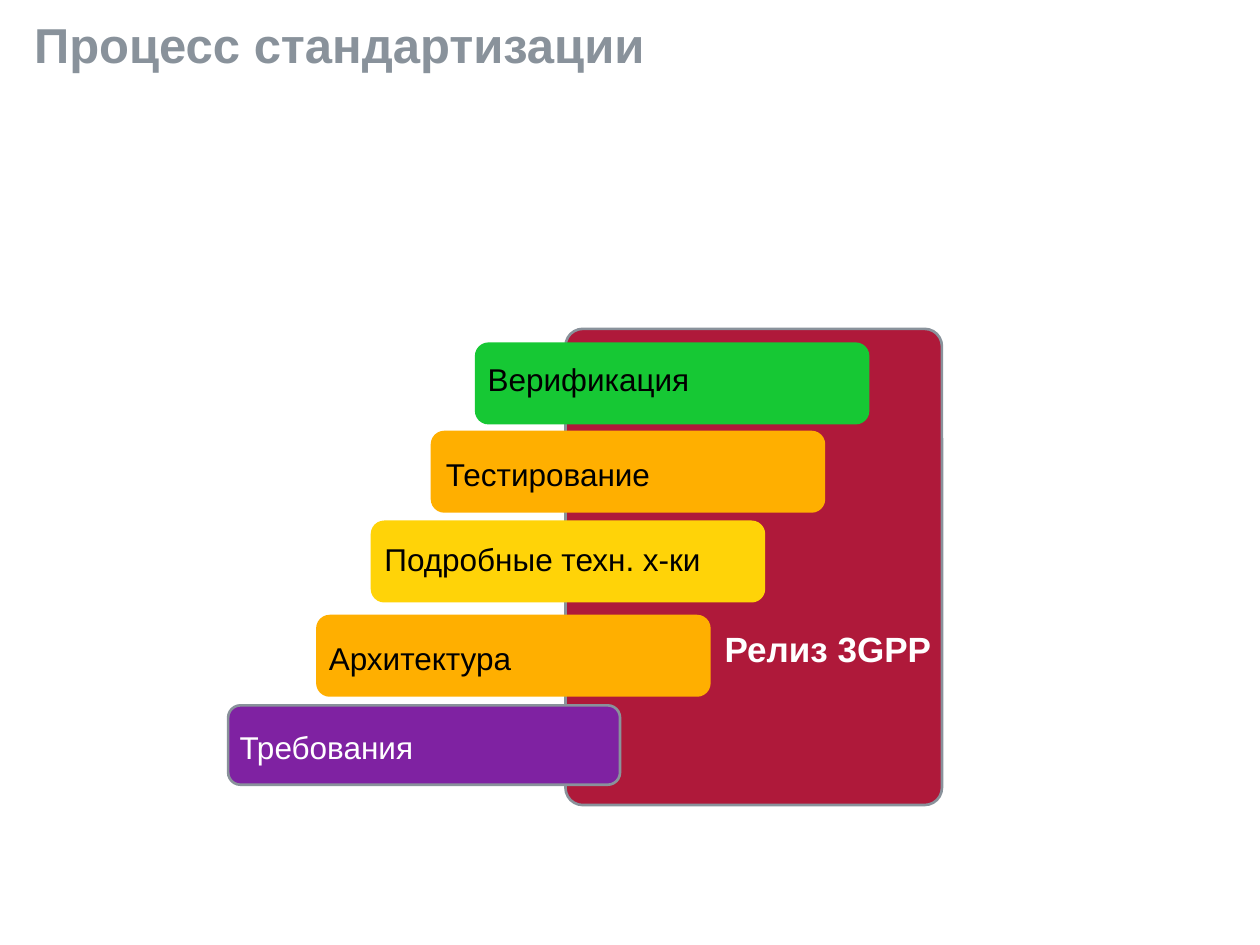
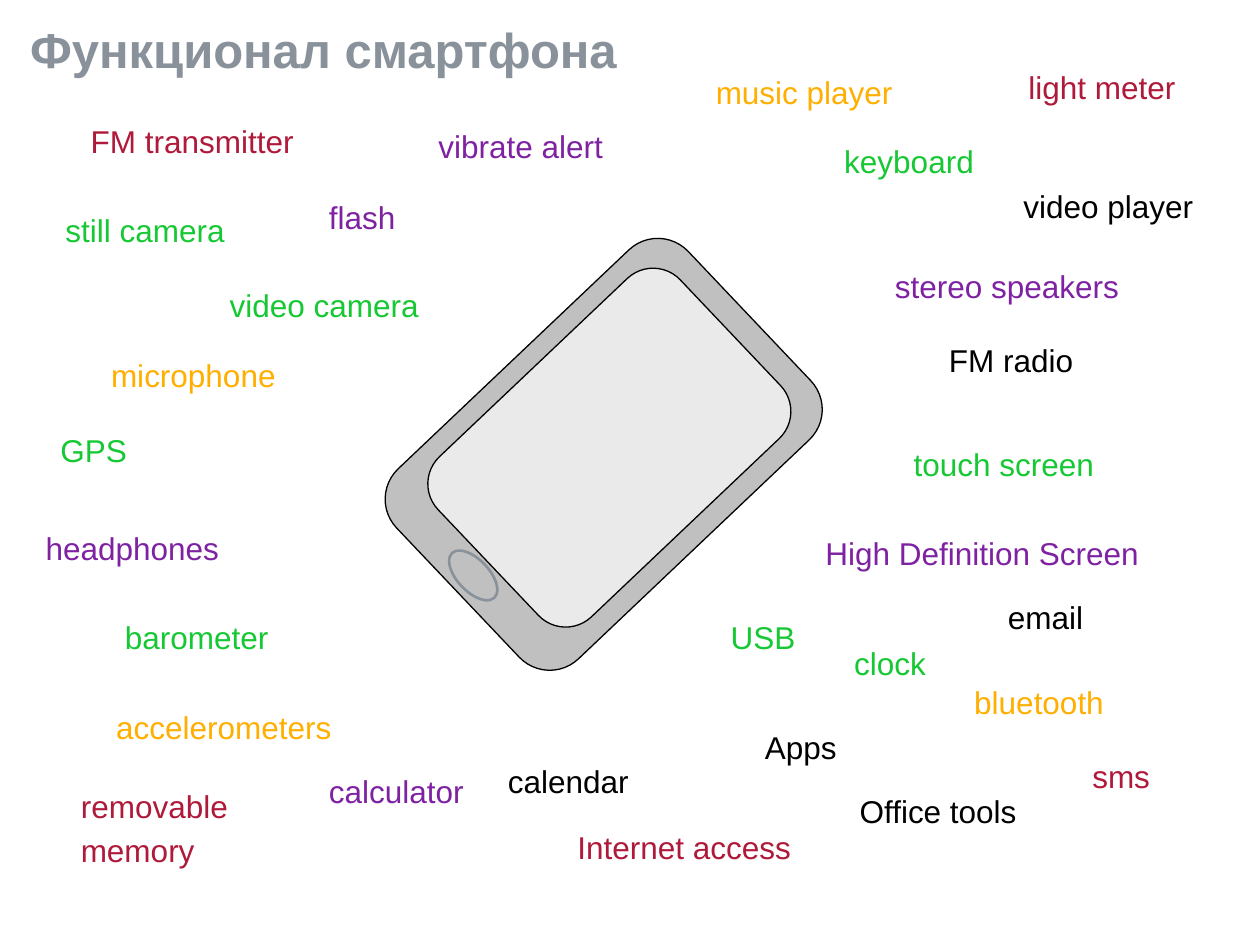
from pptx import Presentation
from pptx.dml.color import RGBColor
from pptx.enum.shapes import MSO_SHAPE as Preset
from pptx.enum.text import MSO_ANCHOR as Anchor, MSO_AUTO_SIZE as AutoSize, PP_ALIGN as Align
from pptx.util import Cm, Pt

# Shared colours and type
GREY = RGBColor(0x89, 0x92, 0x9B)
RED = RGBColor(0xAF, 0x19, 0x3A)
GREEN = RGBColor(0x16, 0xC8, 0x34)
PURPLE = RGBColor(0x7F, 0x22, 0xA2)
ORANGE = RGBColor(0xFF, 0xAF, 0x00)
YELLOW = RGBColor(0xFF, 0xD3, 0x08)
BLACK = RGBColor(0x00, 0x00, 0x00)
WHITE = RGBColor(0xFF, 0xFF, 0xFF)
CASE = RGBColor(0xC0, 0xC0, 0xC0)
GLASS = RGBColor(0xEA, 0xEA, 0xEA)
FONT = "Arial"
LINE_SPACING = 0.9
LABEL_INSET = Cm(0.13)
LABEL_HEIGHT = 0.99
EXTRA_LINE = 0.89

# Standardisation steps, top to bottom:
# step, bar left and top, label left, top and width, fill, outline, text colour
BAR_WIDTH, BAR_HEIGHT = 7.9, 1.6
STEPS = [
    ("Верификация", 9.6, 6.93, 9.7, 7.21, 4.37, GREEN, GREEN, BLACK),
    ("Тестирование", 8.71, 8.71, 8.86, 9.12, 4.42, ORANGE, ORANGE, BLACK),
    ("Подробные техн. х-ки", 7.5, 10.52, 7.62, 10.85, 6.68, YELLOW, YELLOW, BLACK),
    ("Архитектура", 6.4, 12.42, 6.5, 12.83, 3.96, ORANGE, ORANGE, BLACK),
    ("Требования", 4.6, 14.22, 4.7, 14.63, 3.78, PURPLE, GREY, WHITE),
]

# Smartphone features by colour: feature, left, top, width
FEATURES = {
    GREEN: [
        ("keyboard", 16.89, 2.82, 2.9),
        ("touch screen", 18.29, 8.92, 3.94),
        ("GPS", 1.09, 8.64, 1.63),
        ("barometer", 2.39, 12.42, 3.2),
        ("still camera", 1.19, 4.22, 3.51),
        ("clock", 17.09, 12.93, 1.75),
        ("video camera", 4.5, 5.72, 4.11),
        ("USB", 14.6, 12.42, 1.6),
    ],
    PURPLE: [
        ("stereo speakers", 17.91, 5.33, 4.8),
        ("High Definition Screen", 16.51, 10.72, 6.6),
        ("headphones", 0.79, 10.62, 3.78),
        ("flash", 6.5, 3.94, 1.63),
        ("vibrate alert", 8.71, 2.51, 3.61),
        ("calculator", 6.5, 15.52, 3.02),
    ],
    ORANGE: [
        ("accelerometers", 2.21, 14.22, 4.65),
        ("microphone", 2.11, 7.14, 3.61),
        ("bluetooth", 19.51, 13.72, 2.9),
        ("music player", 14.3, 1.42, 3.86),
    ],
    BLACK: [
        ("calendar", 10.11, 15.32, 2.74),
        ("Apps", 15.29, 14.63, 1.75),
        ("video player", 20.5, 3.73, 3.71),
        ("FM radio", 19, 6.83, 2.79),
        ("Office tools", 17.2, 15.93, 3.45),
        ("email", 20.19, 12.01, 1.8),
    ],
    RED: [
        ("Internet access", 11.51, 16.64, 4.6),
        ("FM transmitter", 1.7, 2.41, 4.39),
        ("light meter", 20.6, 1.32, 3.25),
        ("removable\nmemory", 1.5, 15.82, 3.43),
        ("sms", 21.89, 15.21, 1.45),
    ],
}

# Smartphone parts: preset, left, top, width, height, corner, fill, outline, weight
PHONE_TILT = 46.5
PHONE_PARTS = [
    (Preset.ROUNDED_RECTANGLE, 9.53, 5.11, 5.28, 8.1, 0.16, CASE, BLACK, 0.75),
    (Preset.ROUNDED_RECTANGLE, 10.06, 5.66, 4.45, 6.73, 0.17, GLASS, BLACK, 0.75),
    (Preset.OVAL, 8.92, 11.28, 1.24, 0.64, None, None, GREY, 1.5),
]


def add_text(slide, text, left, top, width, height, size, color, bold=False, inset=0):
    box = slide.shapes.add_textbox(Cm(left), Cm(top), Cm(width), Cm(height))
    frame = box.text_frame
    frame.margin_left = frame.margin_right = inset
    frame.margin_top = frame.margin_bottom = inset
    frame.vertical_anchor = Anchor.TOP
    for index, line in enumerate(text.split("\n")):
        paragraph = frame.add_paragraph() if index else frame.paragraphs[0]
        paragraph.alignment = Align.LEFT
        paragraph.line_spacing = LINE_SPACING
        if index:
            paragraph.space_before = Pt(6)
        run = paragraph.add_run()
        run.text = line
        run.font.name, run.font.size, run.font.bold = FONT, Pt(size), bold
        run.font.color.rgb = color
    return frame


def add_title(slide, text, left, top):
    add_text(slide, text, left, top, 23.98, 2.29, 28, GREY, bold=True).word_wrap = True


def add_label(slide, text, left, top, width, color, size=18, bold=False):
    height = LABEL_HEIGHT + EXTRA_LINE * text.count("\n")
    frame = add_text(slide, text, left, top, width, height, size, color, bold, LABEL_INSET)
    frame.word_wrap = False
    frame.auto_size = AutoSize.SHAPE_TO_FIT_TEXT


def add_panel(shapes, preset, left, top, width, height, corner, fill, outline, weight=1.5):
    panel = shapes.add_shape(preset, Cm(left), Cm(top), Cm(width), Cm(height))
    panel.shadow.inherit = False
    if corner is not None:
        panel.adjustments[0] = corner
    if fill is None:
        panel.fill.background()
    else:
        panel.fill.solid()
        panel.fill.fore_color.rgb = fill
    panel.line.color.rgb = outline
    panel.line.width = Pt(weight)
    return panel


def add_step(slide, step, bar_left, bar_top, left, top, width, fill, outline, color):
    add_panel(slide.shapes, Preset.ROUNDED_RECTANGLE, bar_left, bar_top,
              BAR_WIDTH, BAR_HEIGHT, 0.155, fill, outline)
    add_label(slide, step, left, top, width, color)


def add_phone(slide):
    phone = slide.shapes.add_group_shape()
    for part in PHONE_PARTS:
        add_panel(phone.shapes, *part).rotation = PHONE_TILT


def build_standardisation(slide):
    add_title(slide, "Процесс стандартизации", 0.69, 0.43)
    add_panel(slide.shapes, Preset.ROUNDED_RECTANGLE, 11.4, 6.63, 7.59, 9.6, 0.046, RED, GREY)
    for step in STEPS:
        add_step(slide, *step)
    add_label(slide, "Релиз 3GPP", 14.48, 12.62, 4.45, WHITE, size=20, bold=True)


def build_smartphone(slide):
    add_title(slide, "Функционал смартфона", 0.61, 0.53)
    add_phone(slide)
    for color, features in FEATURES.items():
        for feature, left, top, width in features:
            add_label(slide, feature, left, top, width, color)


def main():
    deck = Presentation()
    deck.slide_width, deck.slide_height = Cm(25.4), Cm(19.05)
    blank = deck.slide_layouts[6]
    for build in (build_standardisation, build_smartphone):
        build(deck.slides.add_slide(blank))
    deck.save("out.pptx")


if __name__ == "__main__":
    main()
